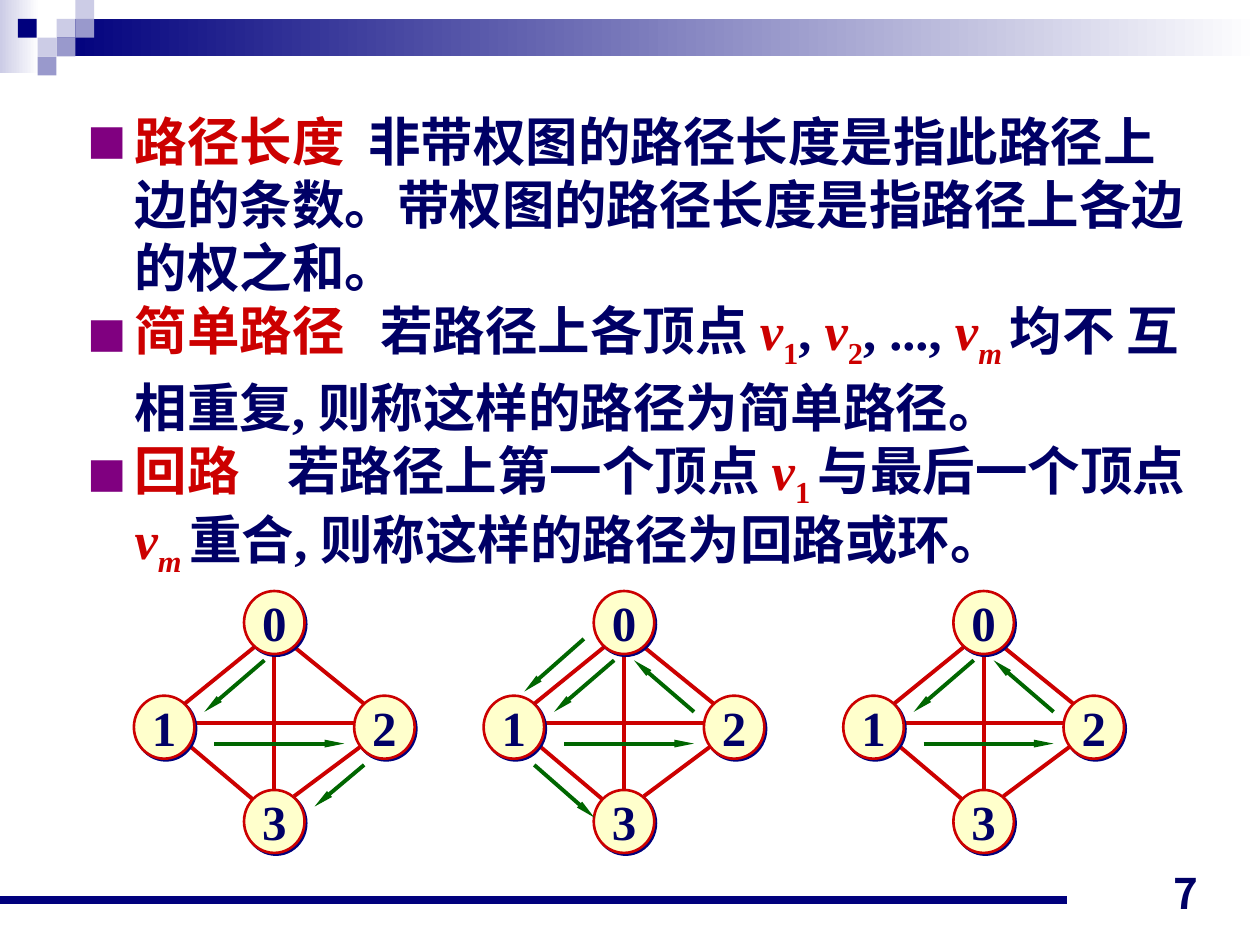
from lxml import etree
from pptx import Presentation
from pptx import util as u
from pptx.dml.color import RGBColor
from pptx.enum import shapes, text
from pptx.oxml import ns

THEME = {
    "navy": "00007D", "ink": "000066", "red": "CC0000", "green": "006600",
    "cream": "FFFFCC", "bullet": "800080", "white": "FFFFFF",
    "pale": "CCCCE6", "mid": "9999CC",
    "latin": "Times New Roman", "cjk": "Noto Sans CJK JP",
    "body_size": 30, "node_size": 28, "page_size": 24,
}


def child(parent, tag, **attributes):
    """Append a DrawingML element and return it."""
    return etree.SubElement(parent, ns.qn(tag), attributes)


def add_line(start, end, color, width, arrow=False):
    ends = [u.Cm(value) for value in (*start, *end)]
    line = slide.shapes.add_connector(shapes.MSO_CONNECTOR.STRAIGHT, *ends)
    line.line.color.rgb = RGBColor.from_string(THEME[color])
    line.line.width = u.Pt(width)
    if arrow:
        child(line.line._get_or_add_ln(), "a:tailEnd", type="triangle", w="sm", len="lg")
    child(line._element.spPr, "a:effectLst")


deck = Presentation()
deck.slide_width, deck.slide_height = u.Cm(25.4), u.Cm(19.05)
slide = deck.slides.add_slide(deck.slide_layouts[1])
title = slide.shapes.title
title._element.getparent().remove(title._element)
body = slide.placeholders[1]

# Header band and its mosaic of squares: left, top, width, height, colour, gradient
SIDE = 0.38
tiles = [(0, 0, 0.79, 1.47, "pale", True), (1.14, SIDE, 24.26, 0.76, "navy", True)]
tiles += [(left, row * SIDE, SIDE, SIDE, color, False) for left, row, color in [
    (1.14, 1, "pale"), (1.52, 0, "pale"), (1.52, 1, "mid"), (0.76, 2, "pale"),
    (0.36, 1, "navy"), (1.14, 2, "mid"), (0.76, 3, "mid")]]
for *frame, color, gradient in tiles:
    tile = slide.shapes.add_shape(shapes.MSO_SHAPE.RECTANGLE, *map(u.Cm, frame))
    tile.shadow.inherit = False
    tile.line.fill.background()
    if gradient:
        tile.fill.gradient()
        tile.fill.gradient_angle = 180
        for stop, name in zip(tile.fill.gradient_stops, ("white", color)):
            stop.color.rgb = RGBColor.from_string(THEME[name])
    else:
        tile.fill.solid()
        tile.fill.fore_color.rgb = RGBColor.from_string(THEME[color])
add_line((0, 18.14), (21.51, 18.14), "navy", 4.5)

# Definitions: each span is text, colour, italic, subscript
definitions = [
    (36, [("路径长度", "red", False, False),
          ("  非带权图的路径长度是指此路径上边的条数。带权图的路径长度是指路径上各边的权之和。",
           "ink", False, False)]),
    (39, [("简单路径", "red", False, False), ("   若路径上各顶点 ", "ink", False, False),
          ("v", "red", True, False), ("1", "red", False, True), (", ", "ink", False, False),
          ("v", "red", True, False), ("2", "red", False, True), (", ..., ", "ink", False, False),
          ("v", "red", True, False), ("m ", "red", True, True),
          ("均不 互相重复, 则称这样的路径为简单路径。", "ink", False, False)]),
    (39, [("回路", "red", False, False), ("    若路径上第一个顶点 ", "ink", False, False),
          ("v", "red", True, False), ("1 ", "red", False, True),
          ("与最后一个顶点", "ink", False, False),
          ("v", "red", True, False), ("m ", "red", True, True),
          ("重合, 则称这样的路径为回路或环。", "ink", False, False)]),
]
placement = {"left": 1.5, "top": 2.08, "width": 22.66, "height": 9.96}
for name, value in placement.items():
    setattr(body, name, u.Cm(value))
frame = body.text_frame
frame.auto_size = text.MSO_AUTO_SIZE.NONE
for index, (spacing, spans) in enumerate(definitions):
    para = frame.add_paragraph() if index else frame.paragraphs[0]
    para.line_spacing, para.space_before = u.Pt(spacing), u.Pt(1.9)
    properties = para._p.get_or_add_pPr()
    properties.set("marL", str(u.Cm(0.96)))
    properties.set("indent", str(u.Cm(-0.96)))
    child(child(properties, "a:buClr"), "a:srgbClr", val=THEME["bullet"])
    child(properties, "a:buSzPct", val="75000")
    child(properties, "a:buFont", typeface=THEME["cjk"])
    child(properties, "a:buChar", char="■")
    for wording, color, italic, subscript in spans:
        span = para.add_run()
        span.text = wording
        style = {"size": u.Pt(THEME["body_size"]), "bold": True, "italic": italic,
                 "name": THEME["latin"]}
        for name, value in style.items():
            setattr(span.font, name, value)
        span.font.color.rgb = RGBColor.from_string(THEME[color])
        child(span._r.get_or_add_rPr(), "a:ea", typeface=THEME["cjk"])
        if subscript:
            span._r.get_or_add_rPr().set("baseline", "-25000")

# Graphs: x is measured from each graph's axis, y from the top of the slide
nodes = {"1": (-2.22, 14.66), "2": (2.22, 14.66), "0": (0, 12.55), "3": (0, 16.56)}
edges = [
    ((-2.01, 14.78), (0, 16.48)), ((0.2, 12.88), (2.01, 14.35)),
    ((1.82, 14.99), (0.4, 16.05)), ((-0.2, 12.88), (-2.01, 14.35)),
    ((-1.81, 14.58), (1.81, 14.58)), ((0, 12.95), (0, 16.69)),
]
steps = {
    "0 to 1": ((-0.2, 13.31), (-1.41, 14.35)),
    "0 to 1 again": ((-0.81, 12.88), (-2.01, 13.94)),
    "1 to 2": ((-1.21, 14.99), (1.41, 14.99)),
    "2 to 3": ((1.81, 15.42), (0.81, 16.26)),
    "2 to 0": ((1.41, 14.35), (0.2, 13.31)),
    "1 to 3": ((-1.81, 15.42), (-0.6, 16.48)),
}
graphs = [
    (5.53, ["0 to 1", "1 to 2", "2 to 3"]),
    (12.58, ["0 to 1", "1 to 2", "0 to 1 again", "2 to 0", "1 to 3"]),
    (19.83, ["0 to 1", "1 to 2", "2 to 0"]),
]
NODE_W, NODE_H = 1.22, 1.27
LABEL_W, LABEL_H = 1.0, 1.45
labels = []
for axis, walk in graphs:
    for (x1, y1), (x2, y2) in edges:
        add_line((axis + x1, y1), (axis + x2, y2), "red", 2.25)
    for number, (x, y) in nodes.items():
        node = slide.shapes.add_shape(
            shapes.MSO_SHAPE.OVAL, u.Cm(axis + x - NODE_W / 2), u.Cm(y - NODE_H / 2),
            u.Cm(NODE_W), u.Cm(NODE_H))
        node.fill.solid()
        node.fill.fore_color.rgb = RGBColor.from_string(THEME["cream"])
        node.line.color.rgb = RGBColor.from_string(THEME["red"])
        node.line.width = u.Pt(1.5)
        effects = child(node._element.spPr, "a:effectLst")
        shadow = child(effects, "a:outerShdw", blurRad="0", dist=str(u.Pt(1.4)),
                       dir="2700000", algn="ctr", rotWithShape="0")
        child(shadow, "a:srgbClr", val=THEME["navy"])
        labels.append((number, (axis + x - LABEL_W / 2, y - LABEL_H / 2, LABEL_W, LABEL_H),
                       "node_size", "latin", "CENTER", "TOP", False))
    for step in walk:
        (x1, y1), (x2, y2) = steps[step]
        add_line((axis + x1, y1), (axis + x2, y2), "green", 2.25, arrow=True)

# Node numbers and the page number
labels.append(("7", (18.49, 17.35, 5.92, 1.27), "page_size", "cjk", "RIGHT", "BOTTOM", True))
for wording, area, size, face, align, anchor, wrap in labels:
    box = slide.shapes.add_textbox(*map(u.Cm, area))
    box.text_frame.word_wrap = wrap
    box.text_frame.vertical_anchor = text.MSO_ANCHOR[anchor]
    para = box.text_frame.paragraphs[0]
    para.alignment = text.PP_ALIGN[align]
    span = para.add_run()
    span.text = wording
    style = {"size": u.Pt(THEME[size]), "bold": True, "name": THEME[face]}
    for name, value in style.items():
        setattr(span.font, name, value)
    span.font.color.rgb = RGBColor.from_string(THEME["ink"])

deck.save("out.pptx")
